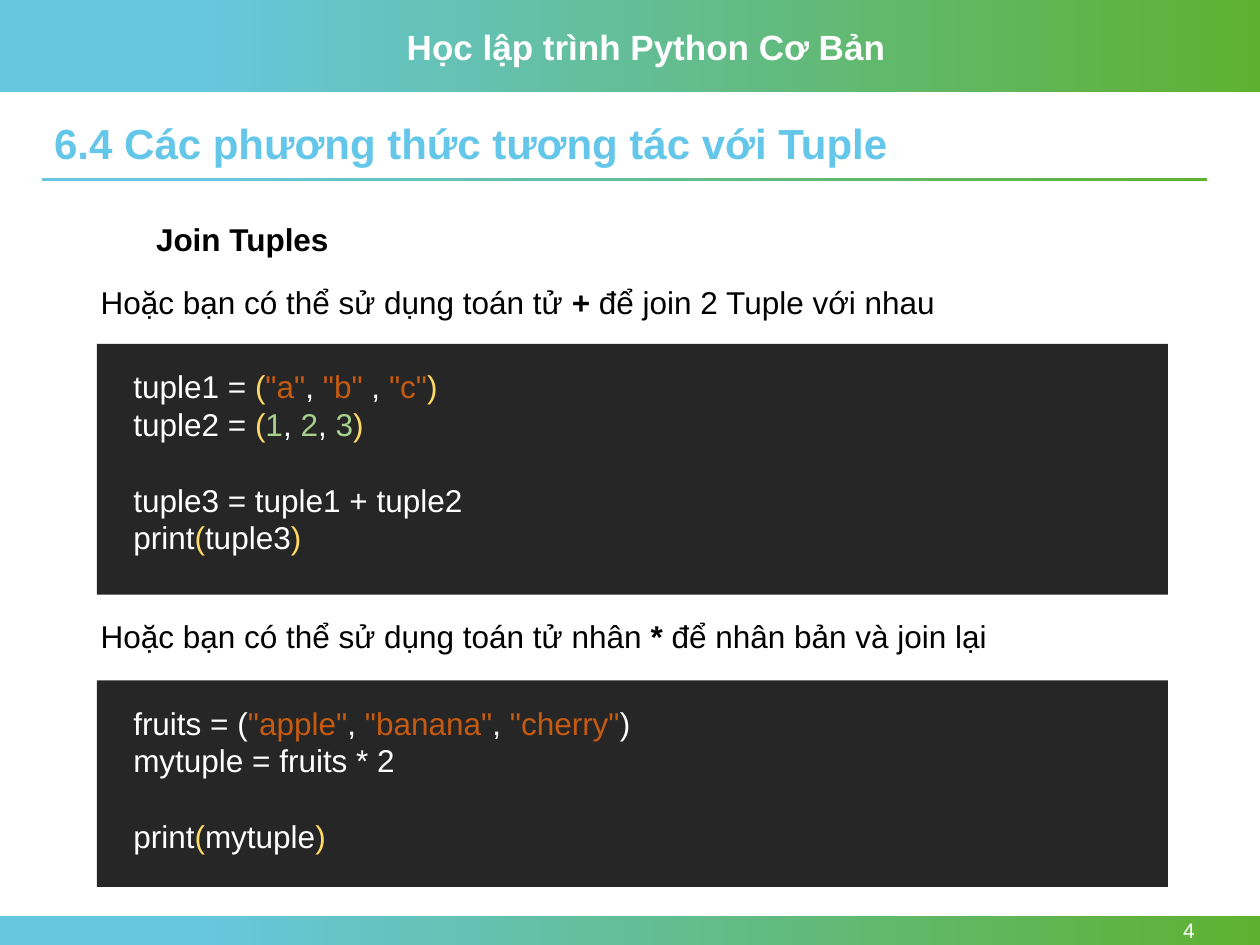
from pptx import Presentation
from pptx.dml.color import RGBColor
from pptx.enum.shapes import MSO_SHAPE
from pptx.enum.text import MSO_ANCHOR, MSO_AUTO_SIZE, PP_ALIGN
from pptx.util import Inches, Pt

RECTANGLE = MSO_SHAPE.RECTANGLE
TOP, MIDDLE = MSO_ANCHOR.TOP, MSO_ANCHOR.MIDDLE
LEFT, RIGHT = PP_ALIGN.LEFT, PP_ALIGN.RIGHT
NO_AUTOFIT = MSO_AUTO_SIZE.NONE

FONT = "Arial"
COLORS = {
    "blue": "67C7DF",
    "green": "5EB130",
    "heading": "64C7E9",
    "black": "000000",
    "panel": "262626",
    "plain": "FFFFFF",
    "bracket": "FFD966",
    "string": "C55A11",
    "number": "A9D18E",
}

SLIDE_WIDTH, SLIDE_HEIGHT = Inches(10), Inches(7.5)
COLUMN, ROW = SLIDE_WIDTH / 100, SLIDE_HEIGHT / 75

JOIN_CODE = [
    [("tuple1 = ", "plain"), ("(", "bracket"), ('"a"', "string"), (", ", "plain"),
     ('"b"', "string"), (" , ", "plain"), ('"c"', "string"), (")", "bracket")],
    [("tuple2 = ", "plain"), ("(", "bracket"), ("1", "number"), (", ", "plain"),
     ("2", "number"), (", ", "plain"), ("3", "number"), (")", "bracket")],
    [],
    [("tuple3 = tuple1 + tuple2", "plain")],
    [("print", "plain"), ("(", "bracket"), ("tuple3", "plain"), (")", "bracket")],
]
MULTIPLY_CODE = [
    [("fruits = (", "plain"), ('"apple"', "string"), (", ", "plain"),
     ('"banana"', "string"), (", ", "plain"), ('"cherry"', "string"), (")", "plain")],
    [("mytuple = fruits * 2", "plain")],
    [],
    [("print", "plain"), ("(", "bracket"), ("mytuple", "plain"), (")", "bracket")],
]


def rgb(name):
    return RGBColor.from_string(COLORS[name])


def to_lengths(box):
    left, top, width, height = box
    return [round(length) for length in
            (left * COLUMN, top * ROW, width * COLUMN, height * ROW)]


def add_run(paragraph, text, *, size=18, color="black", bold=False):
    run = paragraph.add_run()
    run.text = text
    run.font.name = FONT
    run.font.size = Pt(size)
    run.font.bold = bold
    run.font.color.rgb = rgb(color)


def prepare_frame(shape, *, anchor=TOP, align=LEFT):
    frame = shape.text_frame
    frame.word_wrap = True
    frame.auto_size = NO_AUTOFIT
    frame.vertical_anchor = anchor
    paragraph = frame.paragraphs[0]
    paragraph.alignment = align
    return paragraph


def add_paragraph_box(slide, box, **layout):
    return prepare_frame(slide.shapes.add_textbox(*to_lengths(box)), **layout)


def add_rectangle(slide, box):
    shape = slide.shapes.add_shape(RECTANGLE, *to_lengths(box))
    shape.shadow.inherit = False
    shape.line.fill.background()
    return shape


def add_gradient_bar(slide, box):
    fill = add_rectangle(slide, box).fill
    fill.gradient()
    fill.gradient_angle = 0
    for stop, position, color in zip(fill.gradient_stops, (0.15, 1), ("blue", "green")):
        stop.position = position
        stop.color.rgb = rgb(color)


def add_header(slide, box):
    add_gradient_bar(slide, box)
    paragraph = add_paragraph_box(slide, (31.3, box[1] + 1.5, 40, 4.4))
    add_run(paragraph, "Học lập trình Python Cơ Bản", size=20, color="plain", bold=True)


def add_footer(slide, box, number):
    add_gradient_bar(slide, box)
    number_box = (86.6, box[1], 9.2, box[3])
    paragraph = add_paragraph_box(slide, number_box, anchor=MIDDLE, align=RIGHT)
    add_run(paragraph, number, size=12, color="plain")


def place_title(slide, box, text):
    left, top, width, height = box
    title = slide.shapes.title
    title.left, title.top, title.width, title.height = to_lengths(box)
    paragraph = prepare_frame(title, anchor=MIDDLE)
    paragraph.line_spacing = 0.9
    add_run(paragraph, text, size=24, color="heading", bold=True)
    add_gradient_bar(slide, (left, top + height + 0.2, width, 0.25))


def add_sentence(slide, box, before, operator, after):
    paragraph = add_paragraph_box(slide, box)
    add_run(paragraph, before)
    add_run(paragraph, operator, bold=True)
    add_run(paragraph, after)


def add_code_panel(slide, box, lines):
    panel = add_rectangle(slide, box)
    panel.fill.solid()
    panel.fill.fore_color.rgb = rgb("panel")
    left, top, width, height = box
    paragraph = add_paragraph_box(slide, (left + 1.9, top + 1.35, width - 4, height - 3.5))
    for index, line in enumerate(lines):
        if index:
            paragraph.add_line_break()
        for text, color in line:
            add_run(paragraph, text, color=color)


def main():
    presentation = Presentation()
    presentation.slide_width, presentation.slide_height = SLIDE_WIDTH, SLIDE_HEIGHT
    slide = presentation.slides.add_slide(presentation.slide_layouts[5])

    add_header(slide, (0, 0, 100, 7.3))
    add_footer(slide, (0, 72.7, 100, 2.3), "4")
    place_title(slide, (3.3, 9.3, 92.5, 4.6), "6.4 Các phương thức tương tác với Tuple")
    add_run(add_paragraph_box(slide, (11.4, 17, 70.3, 4)), "Join Tuples", bold=True)

    add_sentence(slide, (7, 22, 84.2, 4),
                 "Hoặc bạn có thể sử dụng toán tử ", "+ ", "để join 2 Tuple với nhau")
    add_code_panel(slide, (7.7, 27.3, 85, 19.9), JOIN_CODE)
    add_sentence(slide, (7, 48.5, 84.2, 4),
                 "Hoặc bạn có thể sử dụng toán tử nhân ", "* ", "để nhân bản và join lại")
    add_code_panel(slide, (7.7, 54, 85, 16.4), MULTIPLY_CODE)

    presentation.save("out.pptx")


if __name__ == "__main__":
    main()
